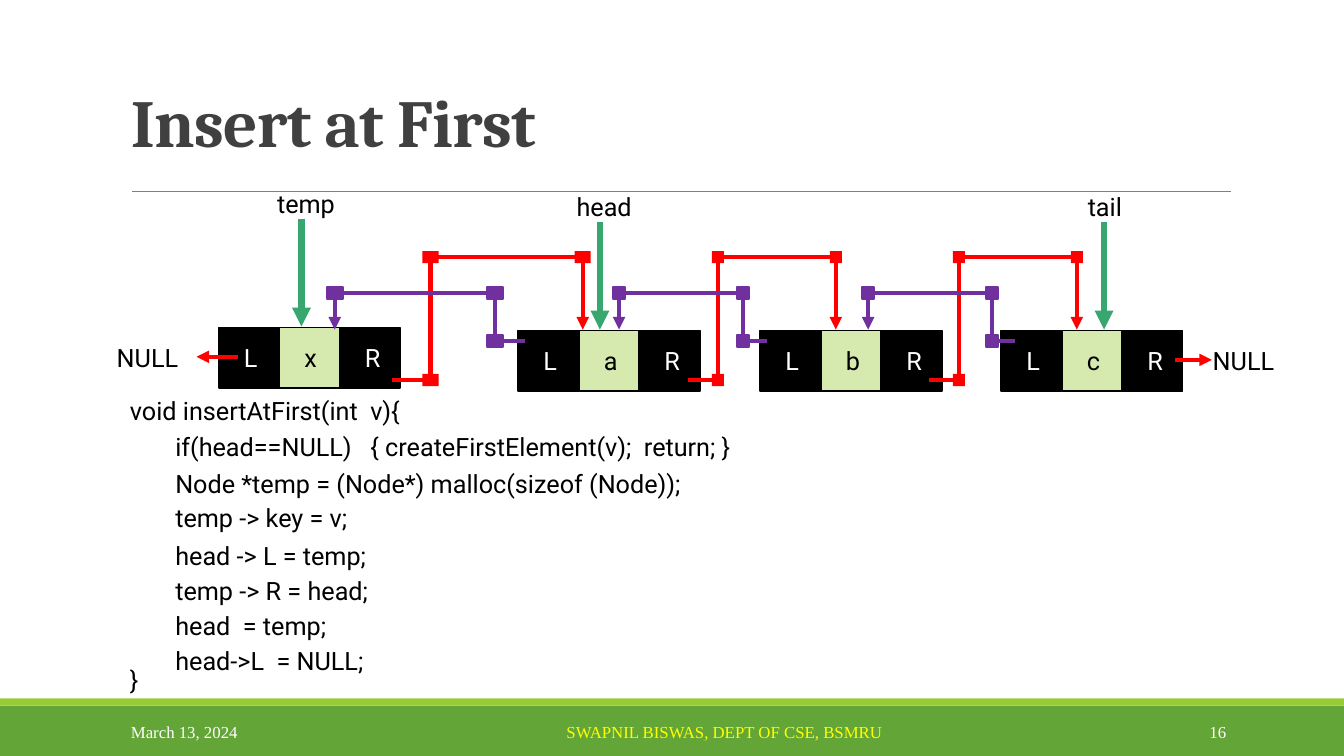
"""Build the slide on inserting at the front of a doubly linked list."""
from itertools import pairwise

from lxml import etree
from pptx import Presentation
from pptx import util as u
from pptx.dml.color import RGBColor
from pptx.enum import shapes, text
from pptx.oxml import ns

BLACK = RGBColor(0x00, 0x00, 0x00)
WHITE = RGBColor(0xFF, 0xFF, 0xFF)
GREY = RGBColor(0x80, 0x80, 0x80)
TITLE_GREY = RGBColor(0x40, 0x40, 0x40)
YELLOW = RGBColor(0xFF, 0xFF, 0x00)
FOOTER_GREEN = RGBColor(0x63, 0xA5, 0x37)
STRIPE_GREEN = RGBColor(0x99, 0xCB, 0x38)
KEY_GREEN = RGBColor(0xD6, 0xEA, 0xAF)
POINTER_GREEN = RGBColor(0x37, 0xA7, 0x6F)
RED = RGBColor(0xFF, 0x00, 0x00)
PURPLE = RGBColor(0x70, 0x30, 0xA0)

CELL = 0.6
JOINT_HEIGHT = 0.12


def write(frame, wording, size=18, font="Roboto", color=BLACK, bold=False,
          align=text.PP_ALIGN.LEFT, anchor=text.MSO_ANCHOR.TOP, wrap=True,
          line_spacing=None, tracking=None):
    frame.word_wrap = wrap
    frame.vertical_anchor = anchor
    paragraph = frame.paragraphs[0]
    paragraph.alignment = align
    if line_spacing:
        paragraph.line_spacing = line_spacing
    run = paragraph.add_run()
    run.text = wording
    run.font.size = u.Pt(size)
    run.font.name = font
    run.font.bold = bold
    run.font.color.rgb = color
    if tracking:
        run._r.get_or_add_rPr().set("spc", str(int(tracking * 100)))


class ListSlide:
    def __init__(self, slide):
        self.slide = slide
        self.link_width = 3
        self.outline_width = 1.25

    def label(self, wording, left, top, width, height=0.4, **style):
        box = self.slide.shapes.add_textbox(*map(u.Inches, (left, top, width, height)))
        write(box.text_frame, wording, **style)

    def block(self, left, top, width, height, fill, outline=None):
        block = self.slide.shapes.add_shape(
            shapes.MSO_SHAPE.RECTANGLE, *map(u.Inches, (left, top, width, height)))
        block.shadow.inherit = False
        block.fill.solid()
        block.fill.fore_color.rgb = fill
        if outline is None:
            block.line.fill.background()
        else:
            block.line.color.rgb = outline
            block.line.width = u.Pt(self.outline_width)
        return block

    def line(self, start, end, color, width, arrow=False):
        line = self.slide.shapes.add_connector(
            shapes.MSO_CONNECTOR.STRAIGHT, *map(u.Inches, (*start, *end)))
        line.line.color.rgb = color
        line.line.width = u.Pt(width)
        if arrow:
            tail = etree.SubElement(line.line._get_or_add_ln(), ns.qn("a:tailEnd"))
            tail.set("type", "triangle")
        etree.SubElement(line._element.spPr, ns.qn("a:effectLst"))

    def node(self, key, left, top):
        cells = (("L", BLACK, WHITE), (key, KEY_GREEN, BLACK), ("R", BLACK, WHITE))
        for column, (letter, fill, color) in enumerate(cells):
            cell = self.block(left + column * CELL, top, CELL, CELL, fill, BLACK)
            cell.text_frame.margin_left = u.Inches(0.25)
            cell.text_frame.margin_right = 0
            write(cell.text_frame, letter, color=color, anchor=text.MSO_ANCHOR.MIDDLE)

    def pointer(self, name, label_left, label_top, width, x):
        self.line((x, label_top + 0.35), (x, label_top + 1.42), POINTER_GREEN, 4.5, True)
        self.label(name, label_left, label_top, width)

    def link(self, start, bend, end, base, top, color, joint_width, outline=None):
        corners = [(start, base), (bend, base), (bend, top), (end, top), (end, 3.27)]
        for index, (tail, head) in enumerate(pairwise(corners)):
            self.line(tail, head, color, self.link_width, arrow=index == 3)
        for x, y in corners[1:4]:
            self.block(x - joint_width / 2, y - JOINT_HEIGHT / 2,
                       joint_width, JOINT_HEIGHT, color, outline)

    def null(self, left, top, start, end):
        self.label("NULL", left, top, 0.94)
        self.line((start, top + 0.19), (end, top + 0.19), RED, self.link_width, True)


def main():
    deck = Presentation()
    deck.slide_width, deck.slide_height = u.Inches(13.33), u.Inches(7.5)
    page = ListSlide(deck.slides.add_slide(deck.slide_layouts[6]))

    page.block(0, 7, 13.33, 0.5, FOOTER_GREEN)
    page.block(0, 6.93, 13.33, 0.07, STRIPE_GREEN)
    page.line((1.31, 1.9), (12.21, 1.9), GREY, 0.5)
    page.label("Insert at First", 1.2, 0.06, 11, 1.59, size=48, font="Cambria",
               color=TITLE_GREY, bold=True, anchor=text.MSO_ANCHOR.BOTTOM,
               line_spacing=0.85, tracking=-0.5)

    footer = {"size": 12, "font": "Times New Roman", "anchor": text.MSO_ANCHOR.MIDDLE}
    page.label("March 13, 2024", 1.2, 7.06, 2.7, color=WHITE, **footer)
    page.label("SWAPNIL BISWAS, DEPT OF CSE, BSMRU", 5.52, 7.06, 3.36,
               color=YELLOW, wrap=False, **footer)
    page.label("16", 10.83, 7.06, 1.43, color=WHITE,
               align=text.PP_ALIGN.RIGHT, **footer)

    for key, left, top in (("x", 2.17, 3.25), ("a", 5.14, 3.28),
                           ("b", 7.54, 3.28), ("c", 9.93, 3.28)):
        page.node(key, left, top)

    for name, left, top, width, x in (("temp", 2.65, 1.82, 0.8, 2.99),
                                      ("head", 5.62, 1.85, 0.8, 5.95),
                                      ("tail", 10.69, 1.85, 0.68, 10.95)):
        page.pointer(name, left, top, width, x)

    for start, bend, end, joint in ((3.89, 4.27, 5.78, 0.16),
                                    (6.82, 7.12, 8.29, 0.12),
                                    (9.21, 9.51, 10.68, 0.12)):
        page.link(start, bend, end, 3.77, 2.55, RED, joint)
    for start, bend, end, joint in ((5.21, 4.91, 3.32, 0.16),
                                    (7.61, 7.37, 6.14, 0.12),
                                    (10.07, 9.84, 8.61, 0.12)):
        page.link(start, bend, end, 3.38, 2.91, PURPLE, joint, PURPLE)

    page.null(1.06, 3.35, 2.36, 1.95)
    page.null(11.93, 3.38, 11.65, 12.02)

    page.label("void insertAtFirst(int  v){", 1.19, 3.87, 3.55)
    for statement, top in (
            ("if(head==NULL)   { createFirstElement(v);  return; }", 4.23),
            ("Node *temp = (Node*) malloc(sizeof (Node));", 4.6),
            ("temp -> key = v;", 4.93),
            ("head -> L = temp;", 5.31),
            ("temp -> R = head;", 5.66),
            ("head  = temp;", 6.01),
            ("head->L  = NULL;", 6.35)):
        page.label(statement, 1.64, top, 5.91)
    page.label("}", 1.19, 6.54, 0.45)

    deck.save("out.pptx")


if __name__ == "__main__":
    main()
